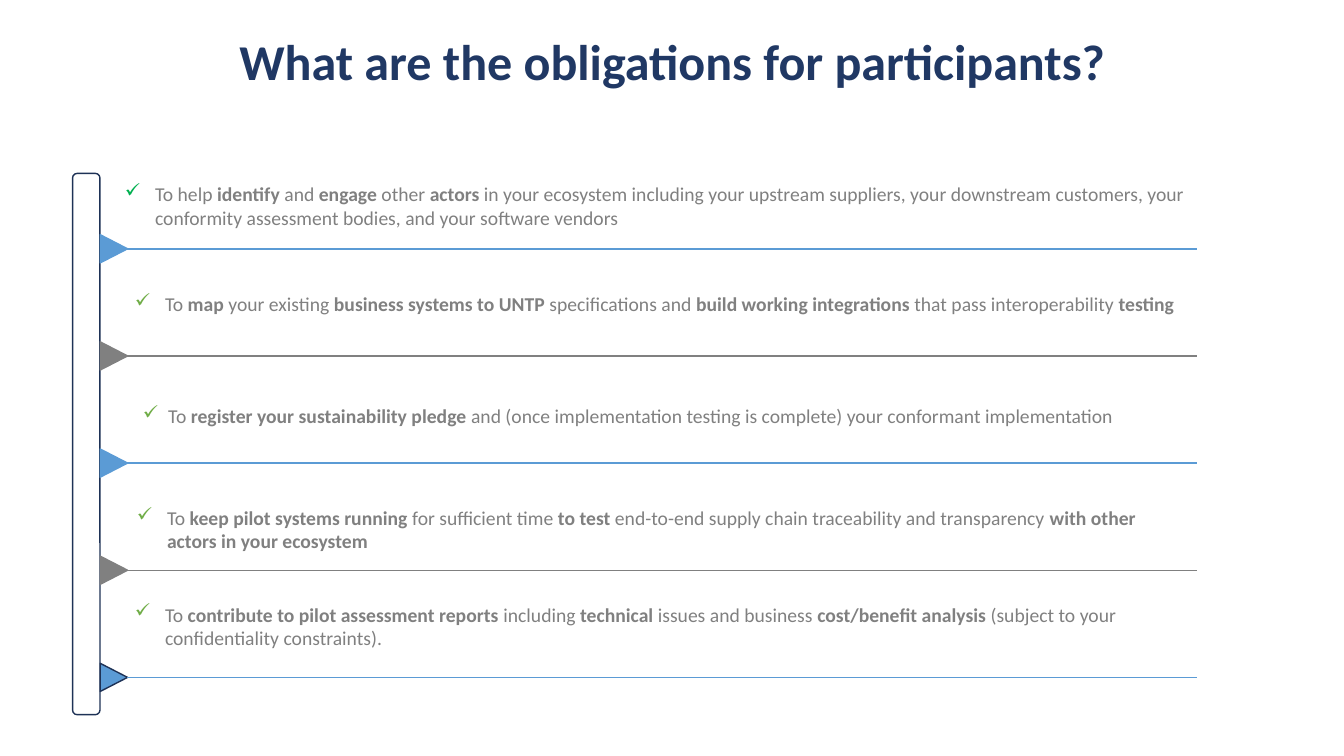
from dataclasses import dataclass

from lxml.etree import SubElement
from pptx import Presentation
from pptx.dml.color import RGBColor
from pptx.enum.shapes import MSO_CONNECTOR, MSO_SHAPE
from pptx.enum.text import MSO_ANCHOR, MSO_AUTO_SIZE, PP_ALIGN
from pptx.oxml.ns import qn
from pptx.util import Cm, Pt

# Content: ** marks the start and end of bold words
TITLE = "What are the obligations for participants?"
OBLIGATIONS = [
    "To help **identify** and **engage** other **actors** in your ecosystem including your "
    "upstream suppliers, your downstream customers, your conformity assessment bodies, "
    "and your software vendors",
    "To **map** your existing **business systems to UNTP **specifications and "
    "**build working integrations **that pass interoperability **testing**",
    "To **register your sustainability pledge **and (once implementation testing is "
    "complete) your conformant implementation",
    "To **keep pilot systems running **for sufficient time **to test **end-to-end supply "
    "chain traceability and transparency **with other actors in your ecosystem**",
    "To **contribute to pilot assessment reports **including **technical** issues and "
    "business **cost/benefit analysis **(subject to your confidentiality constraints).",
]
# Left, top, width, height and hanging indent of each obligation, in cm
TEXT_PLACES = [
    (2.9, 4.47, 27.25, 1.32, 0.76),
    (3.15, 7.24, 27.25, 0.76, 0.76),
    (3.35, 10.06, 26.95, 0.76, 0.64),
    (3.2, 12.62, 26.92, 1.32, 0.76),
    (3.15, 15.06, 26.95, 1.32, 0.76),
]


@dataclass(frozen=True)
class Theme:
    font: str = "Calibri"
    title_size: float = 35.8
    body_size: float = 14
    title: str = "203864"
    text: str = "808080"
    outline: str = "1E3256"
    rail: str = "FFFFFF"
    accents: tuple = ("5B9BD5", "808080")
    first_check: str = "00B050"
    check: str = "70AD47"


THEME = Theme()

# Geometry in cm
RAIL = (1.83, 4.37, 0.69, 13.64)
FIRST_RULE, RULE_STEP = 6.27, 2.7
RULE_LEFT, RULE_WIDTH = 3.2, 26.97
MARKER_CENTER, MARKER_WIDTH, MARKER_HEIGHT = 2.87, 0.71, 0.69


def color(value):
    return RGBColor.from_string(value)


def format_run(run, size, value, bold):
    formats = {"name": THEME.font, "size": Pt(size), "bold": bold}
    for name, setting in formats.items():
        setattr(run.font, name, setting)
    run.font.color.rgb = color(value)


def format_frame(frame, **formats):
    for name, setting in formats.items():
        setattr(frame, name, setting)


def add_shape(slide, kind, place, fill, outline):
    shape = slide.shapes.add_shape(kind, *map(Cm, place))
    shape.shadow.inherit = False
    shape.fill.solid()
    shape.fill.fore_color.rgb = color(fill)
    shape.line.color.rgb = color(outline)
    shape.line.width = Pt(1)
    return shape


def add_rule(slide, y, value):
    rule = slide.shapes.add_connector(
        MSO_CONNECTOR.STRAIGHT, Cm(RULE_LEFT), Cm(y), Cm(RULE_LEFT + RULE_WIDTH), Cm(y))
    rule.line.color.rgb = color(value)
    rule.line.width = Pt(1)
    SubElement(rule._element.spPr, qn("a:effectLst"))


def add_check(paragraph, indent, value):
    properties = paragraph._p.get_or_add_pPr()
    properties.set("marL", str(Cm(indent)))
    properties.set("indent", str(-Cm(indent)))
    bullet_color = SubElement(properties, qn("a:buClr"))
    SubElement(bullet_color, qn("a:srgbClr"), val=value)
    SubElement(properties, qn("a:buChar"), char="✓")


def add_obligation(slide, text, place, check_color):
    *box_place, indent = place
    box = slide.shapes.add_textbox(*map(Cm, box_place))
    format_frame(box.text_frame, word_wrap=True, auto_size=MSO_AUTO_SIZE.SHAPE_TO_FIT_TEXT)
    paragraph = box.text_frame.paragraphs[0]
    add_check(paragraph, indent, check_color)
    for index, part in enumerate(text.split("**")):
        if part:
            run = paragraph.add_run()
            run.text = part
            format_run(run, THEME.body_size, THEME.text, index % 2 == 1)


def add_title(slide):
    title = slide.shapes.title
    title.left, title.top, title.width, title.height = map(Cm, (5.66, 0.64, 22.56, 1.78))
    format_frame(title.text_frame, text=TITLE, word_wrap=False,
                 auto_size=MSO_AUTO_SIZE.SHAPE_TO_FIT_TEXT,
                 vertical_anchor=MSO_ANCHOR.MIDDLE)
    paragraph = title.text_frame.paragraphs[0]
    paragraph.alignment = PP_ALIGN.CENTER
    format_run(paragraph.runs[0], THEME.title_size, THEME.title, True)


def main():
    presentation = Presentation()
    presentation.slide_width, presentation.slide_height = Cm(33.87), Cm(19.05)
    slide = presentation.slides.add_slide(presentation.slide_layouts[5])
    add_title(slide)

    # Vertical rail
    add_shape(slide, MSO_SHAPE.ROUNDED_RECTANGLE, RAIL, THEME.rail, THEME.outline)

    # Markers and rules, in alternating colours
    for index in range(len(OBLIGATIONS)):
        y = FIRST_RULE + index * RULE_STEP
        accent = THEME.accents[index % 2]
        is_last = index == len(OBLIGATIONS) - 1
        place = (MARKER_CENTER - MARKER_WIDTH / 2, y - MARKER_HEIGHT / 2,
                 MARKER_WIDTH, MARKER_HEIGHT)
        marker = add_shape(slide, MSO_SHAPE.ISOSCELES_TRIANGLE, place, accent,
                           THEME.outline if is_last else accent)
        marker.rotation = 90
        add_rule(slide, y, accent)

    # Obligations
    for index, (text, place) in enumerate(zip(OBLIGATIONS, TEXT_PLACES)):
        add_obligation(slide, text, place, THEME.check if index else THEME.first_check)

    presentation.save("out.pptx")


if __name__ == "__main__":
    main()
